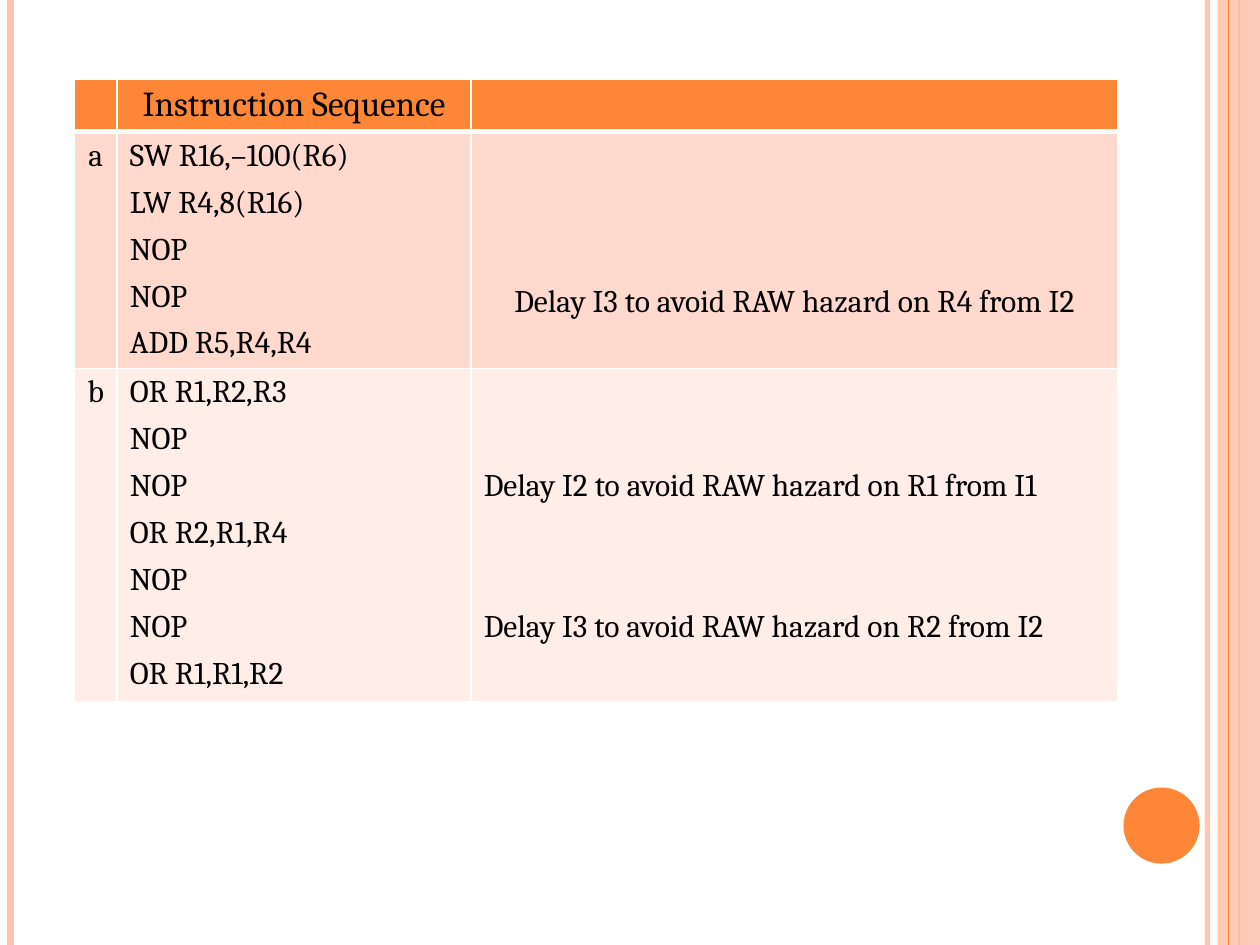
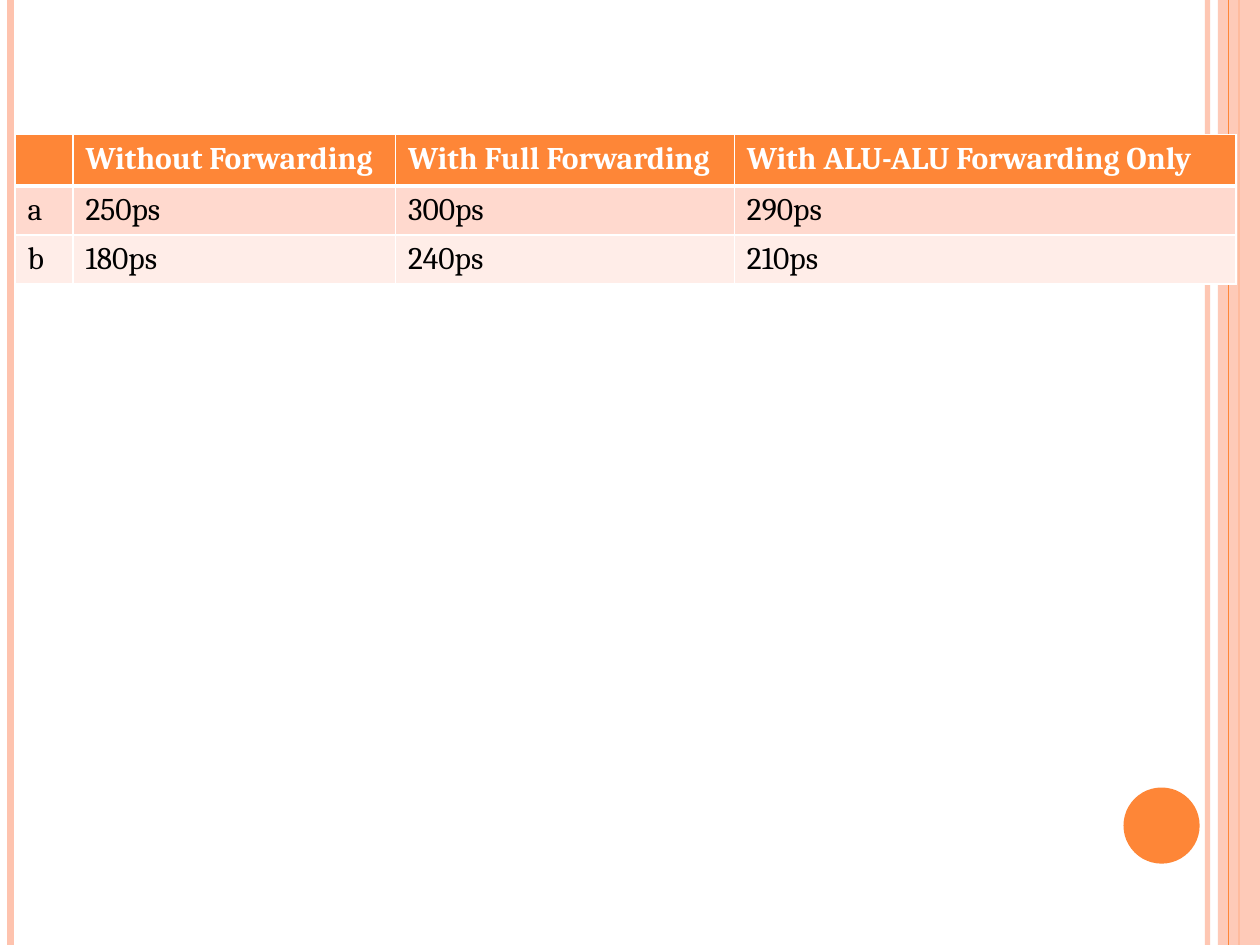
from dataclasses import dataclass

import lxml.etree
import pptx
import pptx.dml.color
import pptx.enum.shapes
import pptx.enum.text
import pptx.oxml
import pptx.oxml.ns
import pptx.util

Pt = pptx.util.Pt
ALIGN = pptx.enum.text.PP_ALIGN


@dataclass(frozen=True)
class Theme:
    font: str = "Cambria"
    orange: str = "FE8637"
    peach: str = "FEC3AE"
    band_dark: str = "FFD9CE"
    band_light: str = "FFEDE8"
    white: str = "FFFFFF"
    black: str = "000000"
    body_size: float = 18
    header_size: float = 20
    line_height: float = 20.8
    cell_margin: float = 3.6
    width: float = 720
    height: float = 540


THEME = Theme()


@dataclass(frozen=True)
class Rule:
    """A full-height vertical line."""
    x: float
    weight: float
    color: str
    opacity: int = 100


@dataclass(frozen=True)
class Line:
    """A line of text and the number of empty lines above it."""
    text: str
    skip: int = 0


@dataclass(frozen=True)
class Cell:
    lines: tuple[Line, ...] = ()
    gap: float = 0
    centered: bool = False
    size: float = THEME.body_size
    color: str = THEME.black
    bold: bool = False


@dataclass(frozen=True)
class Grid:
    left: float
    top: float
    columns: tuple[float, ...]
    heights: tuple[float, ...]
    rows: tuple[tuple[Cell, ...], ...]


RULES_BEHIND = (
    Rule(690, 3, THEME.peach, 93),
    Rule(6, 4.5, THEME.peach),
    Rule(708, 1.5, THEME.orange),
)
RULE_FRONT = Rule(702, 0.75, THEME.orange)


def rgb(color: str) -> pptx.dml.color.RGBColor:
    return pptx.dml.color.RGBColor.from_string(color)


def set_opacity(element, percent: int) -> None:
    """Make the first solid colour below the element partly transparent."""
    color = next(element.iter(pptx.oxml.ns.qn("a:srgbClr")))
    alpha = lxml.etree.SubElement(color, pptx.oxml.ns.qn("a:alpha"))
    alpha.set("val", str(percent * 1000))


def write_text(para, text: str, *, size: float = THEME.body_size,
               color: str = THEME.black, bold: bool = False,
               align=ALIGN.LEFT, before: float = 0) -> None:
    para.alignment = align
    para.space_before = Pt(before)
    span = para.add_run()
    span.text = text
    span.font.name = THEME.font
    span.font.size = Pt(size)
    span.font.bold = bold
    span.font.color.rgb = rgb(color)


# Page frame shared by all slides
def draw_rule(page, rule: Rule) -> None:
    line = page.shapes.add_connector(
        pptx.enum.shapes.MSO_CONNECTOR.STRAIGHT,
        Pt(rule.x), Pt(0), Pt(rule.x), Pt(THEME.height))
    line.line.width = Pt(rule.weight)
    line.line.color.rgb = rgb(rule.color)
    properties = line._element.spPr
    if rule.opacity < 100:
        set_opacity(properties, rule.opacity)
    lxml.etree.SubElement(properties, pptx.oxml.ns.qn("a:effectLst"))


def draw_shape(page, kind, left: float, top: float, width: float,
               height: float, color: str, opacity: int = 100) -> None:
    shape = page.shapes.add_shape(kind, Pt(left), Pt(top), Pt(width), Pt(height))
    shape.shadow.inherit = False
    shape.fill.solid()
    shape.fill.fore_color.rgb = rgb(color)
    shape.line.fill.background()
    if opacity < 100:
        set_opacity(shape._element.spPr, opacity)


def draw_frame(page) -> None:
    kinds = pptx.enum.shapes.MSO_SHAPE
    for rule in RULES_BEHIND:
        draw_rule(page, rule)
    draw_shape(page, kinds.RECTANGLE, 696, 0, 24, THEME.height, THEME.peach, 87)
    draw_rule(page, RULE_FRONT)
    draw_shape(page, kinds.OVAL, 642, 450, 43.5, 43.5, THEME.orange)


# Tables
def set_borders(box, top: float, bottom: float) -> None:
    properties = box._tc.get_or_add_tcPr()
    weights = {"lnL": 1, "lnR": 1, "lnT": top, "lnB": bottom}
    for index, (side, weight) in enumerate(weights.items()):
        border = pptx.oxml.parse_xml(
            f'<a:{side} {pptx.oxml.ns.nsdecls("a")} w="{int(Pt(weight))}">'
            f'<a:solidFill><a:srgbClr val="{THEME.white}"/></a:solidFill></a:{side}>')
        properties.insert(index, border)


def fill_cell(box, cell: Cell) -> None:
    frame = box.text_frame
    for index, line in enumerate(cell.lines):
        offset = line.skip * (THEME.line_height + cell.gap)
        if index == 0:
            # The first line is pushed down by the cell margin
            box.margin_top = Pt(THEME.cell_margin + offset)
        write_text(frame.add_paragraph() if index else frame.paragraphs[0],
                   line.text, size=cell.size, color=cell.color, bold=cell.bold,
                   align=ALIGN.CENTER if cell.centered else ALIGN.LEFT,
                   before=cell.gap + offset if index else 0)


def draw_table(page, grid: Grid) -> None:
    table = page.shapes.add_table(
        len(grid.rows), len(grid.columns), Pt(grid.left), Pt(grid.top),
        Pt(sum(grid.columns)), Pt(sum(grid.heights))).table
    table.first_row = table.horz_banding = False
    for column, width in zip(table.columns, grid.columns):
        column.width = Pt(width)
    fills = (THEME.orange, THEME.band_dark, THEME.band_light)
    for r, (cells, height, color) in enumerate(zip(grid.rows, grid.heights, fills)):
        table.rows[r].height = Pt(height)
        for c, cell in enumerate(cells):
            box = table.cell(r, c)
            box.fill.solid()
            box.fill.fore_color.rgb = rgb(color)
            set_borders(box, top=3 if r == 1 else 1, bottom=3 if r == 0 else 1)
            fill_cell(box, cell)


def text_cell(*texts: str, **form) -> Cell:
    return Cell(tuple(Line(text) for text in texts), **form)


def heading(text: str) -> Cell:
    return text_cell(text, color=THEME.white, bold=True)


# Content
SEQUENCES = Grid(
    left=42.5, top=45, columns=(24.5, 202.3, 369.4), heights=(29.2, 135, 190.5),
    rows=(
        (Cell(),
         text_cell("Instruction Sequence", centered=True, size=THEME.header_size),
         Cell()),
        (text_cell("a", centered=True),
         text_cell("SW R16,–100(R6)", "LW R4,8(R16)", "NOP", "NOP",
                   "ADD R5,R4,R4", gap=6),
         Cell((Line("Delay I3 to avoid RAW hazard on R4 from I2", skip=4),),
              centered=True)),
        (text_cell("b", centered=True),
         text_cell("OR R1,R2,R3", "NOP", "NOP", "OR R2,R1,R4", "NOP", "NOP",
                   "OR R1,R1,R2", gap=6),
         Cell((Line("Delay I2 to avoid RAW hazard on R1 from I1", skip=2),
               Line("Delay I3 to avoid RAW hazard on R2 from I2", skip=2)), gap=6)),
    ))

CYCLE_TIMES = Grid(
    left=8.6, top=77, columns=(33.1, 184.3, 193.7, 286.6), heights=(29, 28, 28),
    rows=(
        (Cell(), heading("Without Forwarding"), heading("With Full Forwarding"),
         heading("With ALU-ALU Forwarding Only")),
        tuple(map(text_cell, ("a", "250ps", "300ps", "290ps"))),
        tuple(map(text_cell, ("b", "180ps", "240ps", "210ps"))),
    ))


def main() -> None:
    deck = pptx.Presentation()
    deck.slide_width, deck.slide_height = Pt(THEME.width), Pt(THEME.height)
    blank = deck.slide_layouts[6]
    for grid in (SEQUENCES, CYCLE_TIMES):
        page = deck.slides.add_slide(blank)
        draw_frame(page)
        draw_table(page, grid)
    deck.save("out.pptx")


main()
